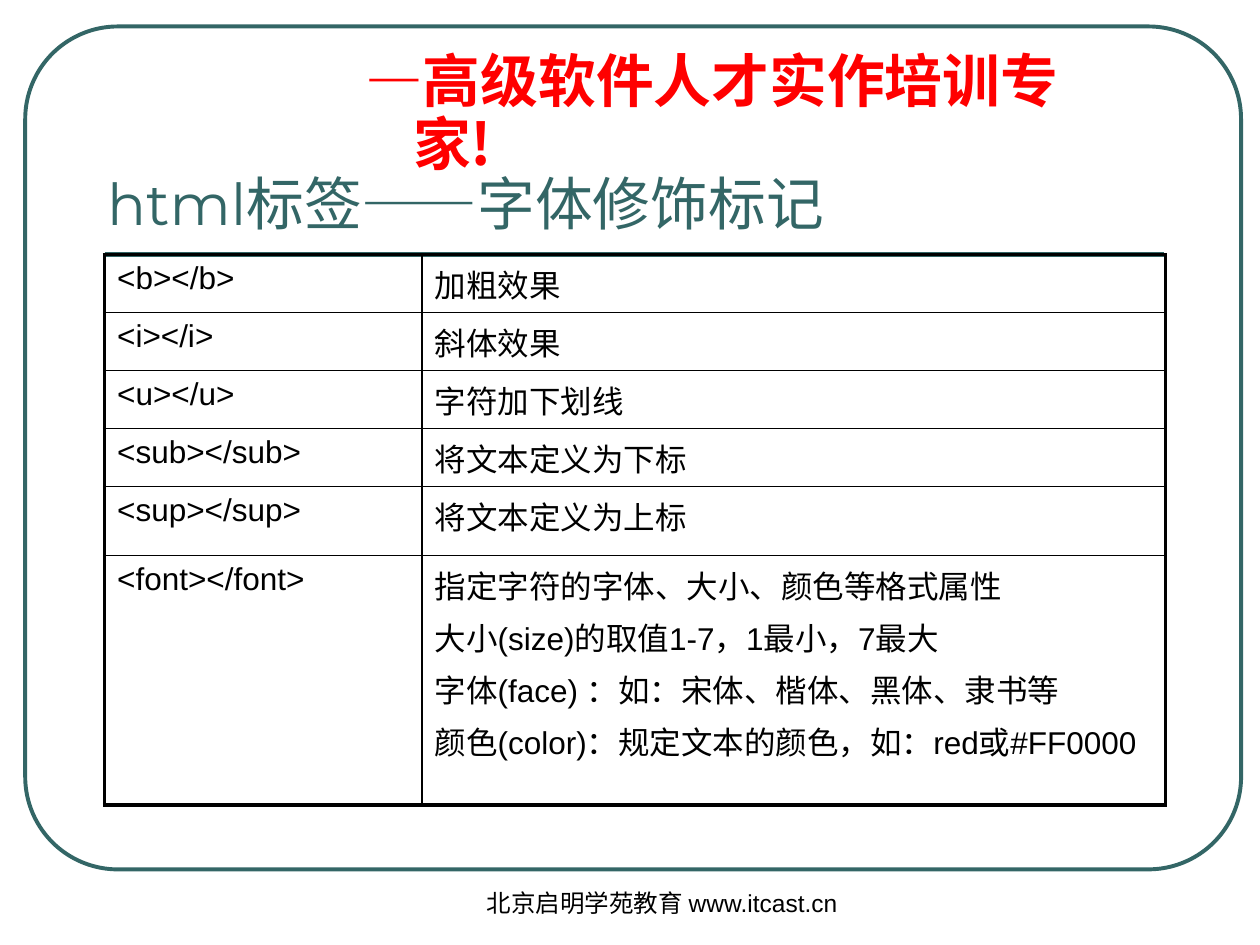
from dataclasses import dataclass

from lxml.etree import SubElement
from pptx import Presentation
from pptx.dml.color import RGBColor
from pptx.enum.shapes import MSO_CONNECTOR, MSO_SHAPE
from pptx.enum.text import MSO_ANCHOR, MSO_AUTO_SIZE, PP_ALIGN
from pptx.oxml.ns import qn
from pptx.util import Inches, Pt


@dataclass(frozen=True)
class Theme:
    """Colours, fonts and type sizes of the slide."""
    teal: str = "336666"
    red: str = "FF0000"
    black: str = "000000"
    head: str = "Montserrat"
    body: str = "Arial"
    asian: str = "Noto Sans CJK SC"
    big: int = 33
    mid: int = 18
    small: int = 14
    thin: float = 1
    thick: float = 2.25


THEME = Theme()

ROWS = [
    ("<b></b>", "加粗效果"),
    ("<i></i>", "斜体效果"),
    ("<u></u>", "字符加下划线"),
    ("<sub></sub>", "将文本定义为下标"),
    ("<sup></sup>", "将文本定义为上标"),
    ("<font></font>", "\n".join([
        "指定字符的字体、大小、颜色等格式属性",
        "大小(size)的取值1-7，1最小，7最大",
        "字体(face) ：如：宋体、楷体、黑体、隶书等",
        "颜色(color)：规定文本的颜色，如：red或#FF0000",
    ])),
]
WIDTHS = [2.52, 5.9]
HEIGHTS = [0.46] * 4 + [0.55, 1.98]


def place(*box):
    """Turn numbers into inch lengths."""
    return [Inches(n) for n in box]


def style(run, face, size, color, bold=False):
    """Set the font of a run for Latin and Asian text."""
    font = run.font
    font.name, font.size, font.bold = face, Pt(size), bold
    font.color.rgb = RGBColor.from_string(color)
    SubElement(font._element, qn("a:ea"), typeface=THEME.asian)


def add_frame(slide):
    """Draw the rounded border of the slide."""
    frame = slide.shapes.add_shape(
        MSO_SHAPE.ROUNDED_RECTANGLE, *place(0.2, 0.21, 9.65, 6.69))
    frame.adjustments[0] = 0.11
    frame.shadow.inherit = False
    frame.fill.background()
    frame.line.color.rgb = RGBColor.from_string(THEME.teal)
    frame.line.width = Pt(THEME.thick)


def add_rule(slide):
    """Draw the line under the title."""
    rule = slide.shapes.add_connector(
        MSO_CONNECTOR.STRAIGHT, *place(0.83, 2.02, 9.24, 2.02))
    rule.line.color.rgb = RGBColor.from_string(THEME.teal)
    rule.line.width = Pt(3)
    SubElement(rule._element.spPr, qn("a:effectLst"))


def add_box(slide, box):
    """Add a wrapping text box and return its text frame."""
    frame = slide.shapes.add_textbox(*place(*box)).text_frame
    frame.word_wrap = True
    return frame


def add_slogan(slide):
    """Write the red slogan with a hanging dash."""
    frame = add_box(slide, (2.8, 0.37, 6.1, 0.6))
    frame.auto_size = MSO_AUTO_SIZE.SHAPE_TO_FIT_TEXT
    para = frame.paragraphs[0]
    para.line_spacing = 0.9
    props = para._p.get_or_add_pPr()
    props.set("marL", str(Inches(0.38)))
    props.set("indent", str(Inches(-0.38)))
    parts = [("—", THEME.head), ("高级软件人才实作培训专家!", THEME.asian)]
    for text, face in parts:
        run = para.add_run()
        run.text = text
        style(run, face, THEME.big, THEME.red, True)


def add_footer(slide):
    """Write the centred footer."""
    para = add_box(slide, (3.67, 7, 3.17, 0.5)).paragraphs[0]
    para.text = "北京启明学苑教育 www.itcast.cn"
    para.alignment = PP_ALIGN.CENTER
    style(para.runs[0], THEME.body, THEME.small, THEME.black)


def set_title(slide):
    """Move and format the title."""
    title = slide.shapes.title
    title.left, title.top, title.width, title.height = place(
        0.75, 0.36, 8.42, 1.57)
    frame = title.text_frame
    frame.text = "html标签——字体修饰标记"
    frame.word_wrap = True
    frame.auto_size = MSO_AUTO_SIZE.NONE
    frame.vertical_anchor = MSO_ANCHOR.BOTTOM
    para = frame.paragraphs[0]
    para.alignment = PP_ALIGN.LEFT
    style(para.runs[0], THEME.head, THEME.big, THEME.teal)


def set_edges(cell, outer):
    """Draw cell borders, thick on the outer sides."""
    props = cell._tc.get_or_add_tcPr()
    for side in "LRTB":
        width = THEME.thick if side in outer else THEME.thin
        line = SubElement(props, qn(f"a:ln{side}"), w=str(Pt(width)))
        fill = SubElement(line, qn("a:solidFill"))
        SubElement(fill, qn("a:srgbClr"), val=THEME.black)


def fill_cell(cell, text, outer):
    """Write and format one table cell."""
    cell.text_frame.text = text
    for i, para in enumerate(cell.text_frame.paragraphs):
        if i:
            para.space_before = Pt(THEME.mid * 0.2)
        style(para.runs[0], THEME.body, THEME.mid, THEME.black)
    set_edges(cell, outer)
    cell.fill.background()


def add_grid(slide):
    """Build the table of tags."""
    table = slide.shapes.add_table(
        len(ROWS), len(WIDTHS),
        *place(0.83, 2.02, sum(WIDTHS), sum(HEIGHTS))).table
    table.first_row = table.horz_banding = False
    for col, width in zip(table.columns, WIDTHS):
        col.width = Inches(width)
    for row, height in zip(table.rows, HEIGHTS):
        row.height = Inches(height)
    ends = {0: "T", len(ROWS) - 1: "B"}
    for r, texts in enumerate(ROWS):
        for c, text in enumerate(texts):
            fill_cell(table.cell(r, c), text, "LR"[c] + ends.get(r, ""))


def main():
    """Build and save the slide."""
    deck = Presentation()
    deck.slide_width, deck.slide_height = place(10, 7.5)
    slide = deck.slides.add_slide(deck.slide_layouts[5])
    add_frame(slide)
    add_rule(slide)
    add_slogan(slide)
    add_footer(slide)
    set_title(slide)
    add_grid(slide)
    deck.save("out.pptx")


if __name__ == "__main__":
    main()
